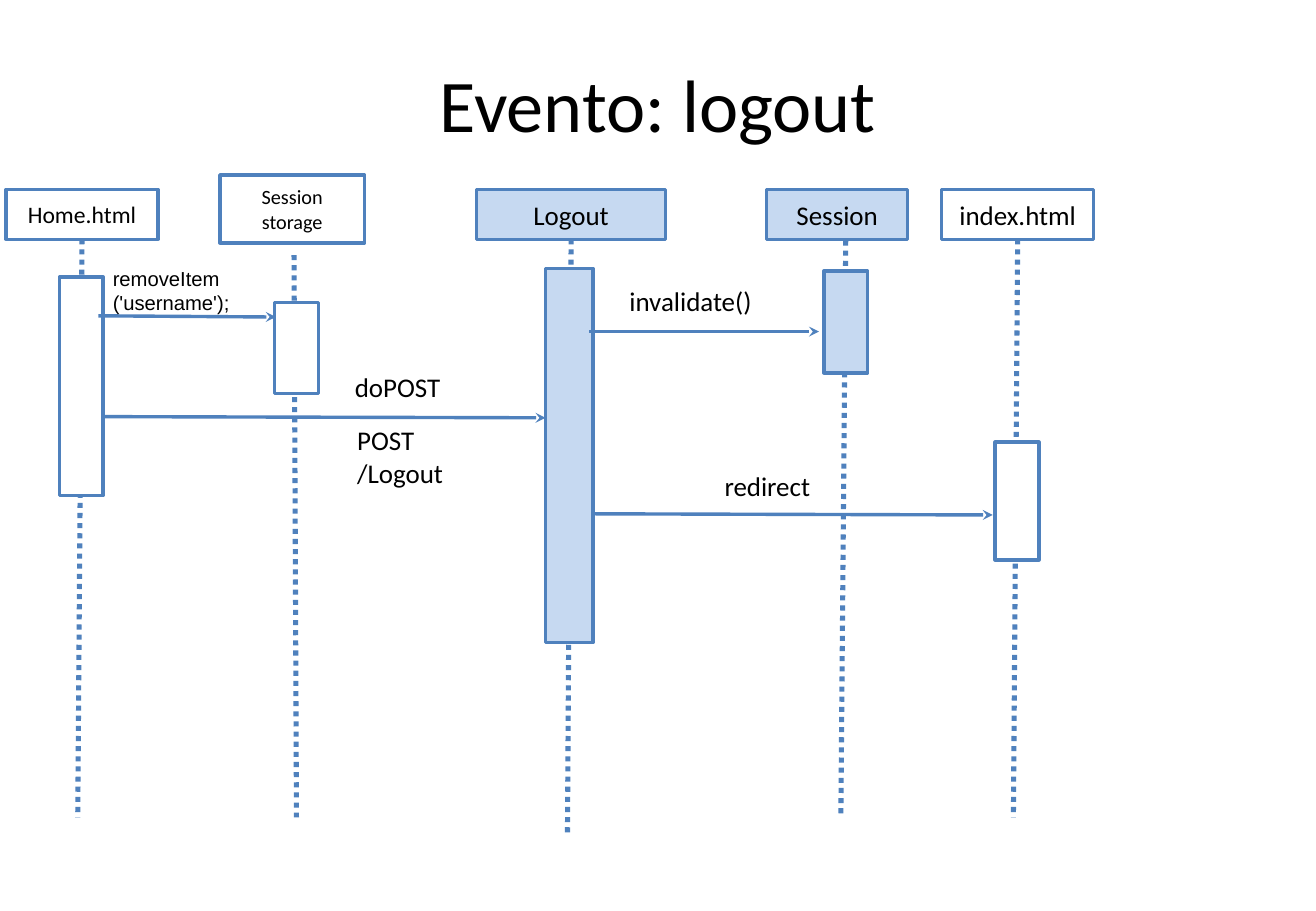
import pptx
import pptx.util
import pptx.dml.color
import pptx.enum.dml
import pptx.enum.shapes
import pptx.enum.text
import pptx.oxml.ns
import lxml.etree

Inches = pptx.util.Inches
Pt = pptx.util.Pt
RGBColor = pptx.dml.color.RGBColor
ALIGN = pptx.enum.text.PP_ALIGN
ANCHOR = pptx.enum.text.MSO_ANCHOR

BLUE = RGBColor(0x4F, 0x81, 0xBD)
PALE_BLUE = RGBColor(0xC6, 0xD9, 0xF1)
WHITE = RGBColor(0xFF, 0xFF, 0xFF)
BLACK = RGBColor(0x00, 0x00, 0x00)

prs = pptx.Presentation()
prs.slide_width = Inches(10.83)
prs.slide_height = Inches(7.5)
slide = prs.slides.add_slide(prs.slide_layouts[5])
shapes = slide.shapes


def write(shape, lines, size, align, anchor, font="Calibri", inset=0.12):
    """Fill the shape with one paragraph per line."""
    frame = shape.text_frame
    frame.word_wrap = True
    frame.vertical_anchor = anchor
    frame.margin_left = frame.margin_right = Inches(inset)
    frame.margin_top = frame.margin_bottom = Inches(inset / 2)
    for index, line in enumerate(lines):
        paragraph = frame.add_paragraph() if index else frame.paragraphs[0]
        paragraph.alignment = align
        run = paragraph.add_run()
        run.text = line
        run.font.size = Pt(size)
        run.font.name = font
        run.font.color.rgb = BLACK


def add_line(x1, y1, x2, y2, width):
    line = shapes.add_connector(pptx.enum.shapes.MSO_CONNECTOR.STRAIGHT,
                                Inches(x1), Inches(y1), Inches(x2), Inches(y2))
    line.line.color.rgb = BLUE
    line.line.width = Pt(width)
    lxml.etree.SubElement(line._element.spPr, pptx.oxml.ns.qn("a:effectLst"))
    return line


title = shapes.title
title.left, title.top = Inches(0.54), Inches(0.3)
title.width, title.height = Inches(9.75), Inches(1.1)
write(title, ["Evento: logout"], 44, ALIGN.CENTER, ANCHOR.MIDDLE)

# name, text size, fill, header box, lifeline ends, activation bar
participants = [
    ("Home.html", 14, WHITE, (0.05, 1.56, 1.25, 0.41),
     (0.67, 1.98, 0.64, 6.73), (0.49, 2.28, 0.36, 1.8)),
    ("Session storage", 12, WHITE, (1.81, 1.44, 1.19, 0.56),
     (2.42, 2.1, 2.44, 6.73), (2.26, 2.49, 0.36, 0.75)),
    ("Logout", 16, PALE_BLUE, (3.92, 1.56, 1.56, 0.41),
     (4.7, 1.98, 4.67, 6.89), (4.49, 2.21, 0.39, 3.08)),
    ("Session", 16, PALE_BLUE, (6.31, 1.56, 1.16, 0.41),
     (6.96, 1.98, 6.92, 6.73), (6.78, 2.23, 0.36, 0.84)),
    ("index.html", 16, WHITE, (7.75, 1.56, 1.25, 0.41),
     (8.37, 1.98, 8.34, 6.73), (8.19, 3.64, 0.36, 0.97)),
]
for name, size, fill, header_box, lifeline_ends, bar_box in participants:
    lifeline = add_line(*lifeline_ends, 3)
    lifeline.line.dash_style = pptx.enum.dml.MSO_LINE.ROUND_DOT
    boxes = []
    for box in (header_box, bar_box):
        rectangle = shapes.add_shape(pptx.enum.shapes.MSO_SHAPE.RECTANGLE,
                                     *[Inches(length) for length in box])
        rectangle.shadow.inherit = False
        rectangle.fill.solid()
        rectangle.fill.fore_color.rgb = fill
        rectangle.line.color.rgb = BLUE
        rectangle.line.width = Pt(2)
        boxes.append(rectangle)
    header = boxes[0]
    write(header, [name], size, ALIGN.CENTER, ANCHOR.MIDDLE)
    if name in ("Home.html", "Logout", "index.html"):
        lifeline.begin_connect(header, 2)

messages = [
    (0.81, 2.6, 2.27, 2.61),
    (0.85, 3.43, 4.49, 3.44),
    (4.85, 2.73, 6.74, 2.73),
    (4.88, 4.23, 8.17, 4.24),
]
for ends in messages:
    arrow = add_line(*ends, 2)
    lxml.etree.SubElement(arrow.line._get_or_add_ln(),
                          pptx.oxml.ns.qn("a:tailEnd"), type="stealth")

labels = [
    (["doPOST"], (2.8, 2.99, 1.23, 0.4), 16, ALIGN.LEFT, "Calibri", 0.12),
    (["POST", "/Logout"], (2.82, 3.43, 1.37, 0.74), 16, ALIGN.LEFT, "Calibri", 0.12),
    (["redirect"], (5.06, 3.81, 2.51, 0.37), 16, ALIGN.CENTER, "Calibri", 0.12),
    (["invalidate()"], (5.06, 2.28, 1.9, 0.33), 16, ALIGN.LEFT, "Calibri", 0.12),
    (["removeItem", "('username');"], (0.83, 2.14, 1.3, 0.5), 12, ALIGN.LEFT, "Arial", 0.1),
]
for lines, box, size, align, font, inset in labels:
    label = shapes.add_textbox(*[Inches(length) for length in box])
    write(label, lines, size, align, ANCHOR.TOP, font, inset)

prs.save("out.pptx")
